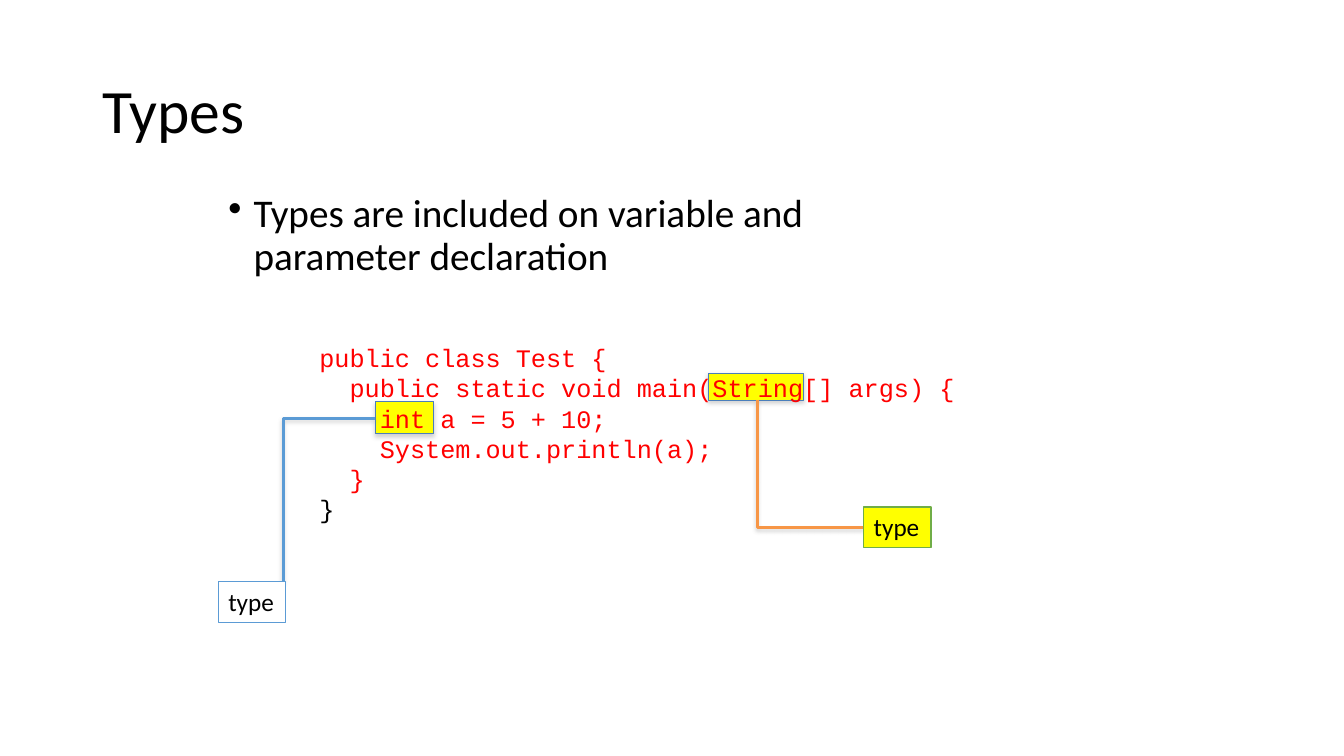
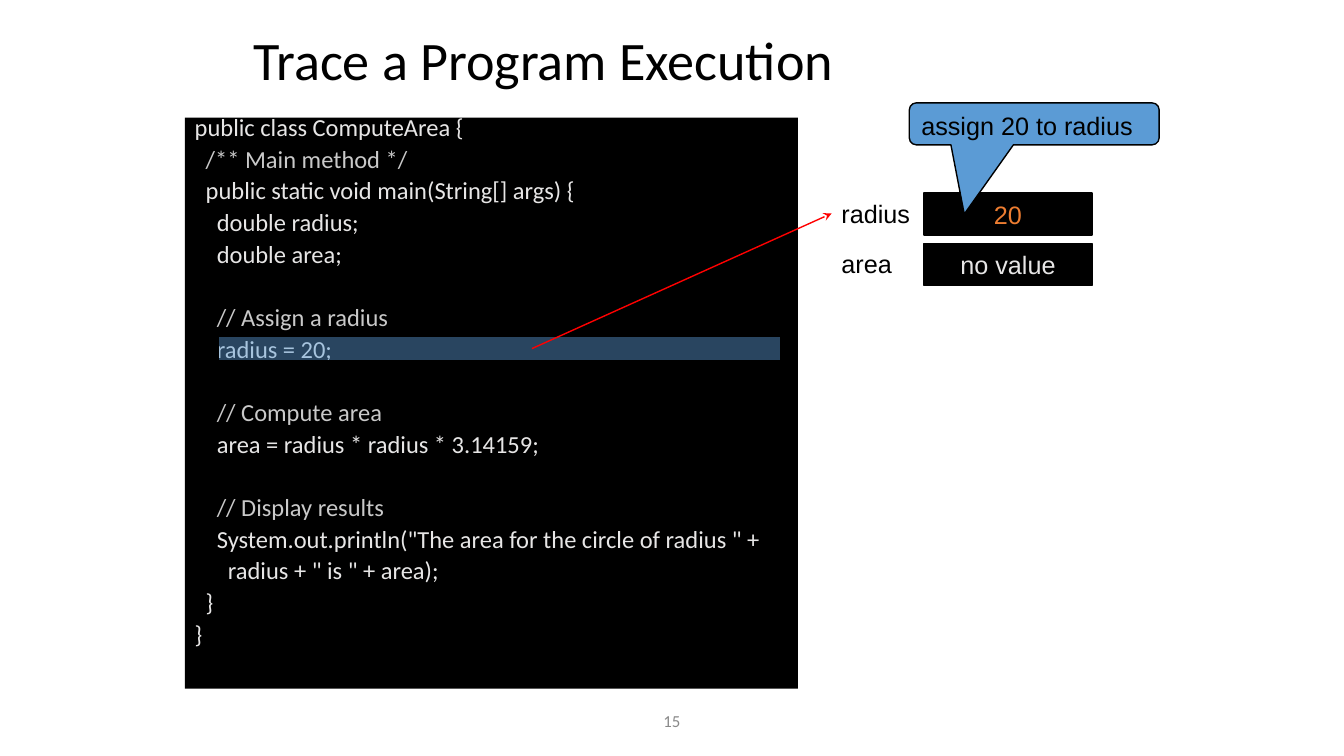
"""Builds two lecture slides on types and program tracing."""
from lxml.etree import SubElement
from pptx import Presentation
from pptx.dml.color import RGBColor
from pptx.enum.shapes import MSO_CONNECTOR, MSO_SHAPE
from pptx.enum.text import MSO_ANCHOR, PP_ALIGN
from pptx.oxml.ns import qn
from pptx.util import Pt

RECT = MSO_SHAPE.RECTANGLE
BUBBLE = MSO_SHAPE.ROUNDED_RECTANGULAR_CALLOUT
LINE, ELBOW = MSO_CONNECTOR.STRAIGHT, MSO_CONNECTOR.ELBOW
LEFT, CENTER = PP_ALIGN.LEFT, PP_ALIGN.CENTER
TOP, MIDDLE = MSO_ANCHOR.TOP, MSO_ANCHOR.MIDDLE

BLACK, WHITE, YELLOW, RED = "000000", "FFFFFF", "FFFF00", "FF0000"
BLUE, NAVY, ORANGE, RUST, GREEN = "5B9BD5", "4A7EBB", "F79646", "ED7D31", "70AD47"
PALE, SILVER, GRAY = "E7E6E6", "C9C9C9", "898989"

TEST = """public class Test {
  public static void main(String[] args) {
    int a = 5 + 10;
    System.out.println(a);
  }
}"""

AREA = """public class ComputeArea {
  /** Main method */
  public static void main(String[] args) {
    double radius;
    double area;
    // Assign a radius
    radius = 20;
    // Compute area
    area = radius * radius * 3.14159;
    // Display results
    System.out.println("The area for the circle of radius " +
      radius + " is " + area);
  }
}"""


def rgb(code):
    """Turn a hex string into a colour."""
    return RGBColor.from_string(code)


def points(*sizes):
    """Turn numbers into lengths in points."""
    return [Pt(size) for size in sizes]


def style(par, text, size=18, font="Calibri", color=BLACK, align=LEFT,
          space=None, gap=0, bullet=None):
    """Fill one paragraph with formatted text."""
    if bullet:
        props = par._p.get_or_add_pPr()
        props.set("marL", str(Pt(18)))
        props.set("indent", str(-Pt(18)))
        SubElement(props, qn("a:buChar"), char=bullet)
    par.alignment = align
    par.space_before = Pt(gap)
    if space:
        par.line_spacing = space
    run = par.add_run()
    run.text = text
    run.font.size, run.font.name = Pt(size), font
    run.font.color.rgb = rgb(color)


def write(frame, text, anchor=TOP, wrap=True, rules=None, **form):
    """Write lines of text, with overrides for lines by their prefix."""
    frame.word_wrap = wrap
    frame.vertical_anchor = anchor
    for row, line in enumerate(text.split("\n")):
        par = frame.paragraphs[0] if row == 0 else frame.add_paragraph()
        extra = {} if row else {"gap": 0}
        for start, change in (rules or {}).items():
            if line.startswith(start):
                extra = {**change, **extra}
        style(par, line, **{**form, **extra})


def shade(effects):
    """Add a soft shadow below to an effect list."""
    outer = SubElement(effects, qn("a:outerShdw"), blurRad=str(Pt(3.1)),
                       dist=str(Pt(1.8)), dir="5400000", rotWithShape="0")
    tone = SubElement(outer, qn("a:srgbClr"), val="808080")
    SubElement(tone, qn("a:alpha"), val="35000")


class Deck:
    """Holds the presentation style and the current slide."""

    def __init__(self):
        """Start a wide presentation."""
        self.show = Presentation()
        self.show.slide_width, self.show.slide_height = points(960, 540)

    def page(self):
        """Add a blank slide."""
        self.slide = self.show.slides.add_slide(self.show.slide_layouts[6])

    def text(self, box, words, **form):
        """Add a text box."""
        shape = self.slide.shapes.add_textbox(*points(*box))
        write(shape.text_frame, words, **form)
        return shape

    def title(self, box, words, size):
        """Add a slide title."""
        self.text(box, words, size=size, space=0.9, anchor=MIDDLE)

    def block(self, box, fill, edge=None, width=1, kind=RECT, words="",
              shadow=False, alpha=None, **form):
        """Add a filled shape."""
        shape = self.slide.shapes.add_shape(kind, *points(*box))
        shape.shadow.inherit = False
        props = shape._element.spPr
        if shadow:
            shade(props.find(qn("a:effectLst")))
        shape.fill.solid()
        shape.fill.fore_color.rgb = rgb(fill)
        if alpha:
            tone = props.find(qn("a:solidFill")).find(qn("a:srgbClr"))
            SubElement(tone, qn("a:alpha"), val=str(alpha * 1000))
        if edge:
            shape.line.color.rgb = rgb(edge)
            shape.line.width = Pt(width)
        else:
            shape.line.fill.background()
        if words:
            write(shape.text_frame, words, **form)
        return shape

    def link(self, kind, ends, color, width):
        """Add a connector and return it with its effect list."""
        line = self.slide.shapes.add_connector(kind, *points(*ends))
        line.line.color.rgb = rgb(color)
        line.line.width = Pt(width)
        return line, SubElement(line._element.spPr, qn("a:effectLst"))

    def bend(self, ends, color):
        """Add a connector that runs across and then turns once."""
        line, effects = self.link(ELBOW, ends, color, 2)
        line._element.spPr.find(qn("a:prstGeom")).set("prst", "bentConnector2")
        shade(effects)

    def arrow(self, ends, color, goal, side):
        """Add a straight arrow joined to a side of its goal."""
        line, _ = self.link(LINE, ends, color, 1)
        line.end_connect(goal, side)
        SubElement(line.line._get_or_add_ln(), qn("a:tailEnd"), type="stealth")


def types(deck):
    """Build the slide on types."""
    deck.page()
    for box in ((268, 287, 42, 23), (506, 266.5, 68, 19.5)):
        deck.block(box, YELLOW, NAVY, 0.75, shadow=True)
    deck.text((156, 135, 500, 305),
              "Types are included on variable and parameter declaration",
              size=28, space=0.9, bullet="•")
    deck.text((221, 241, 472, 138), TEST, font="Courier New", color=RED,
              rules={"}": {"color": BLACK}})
    deck.title((66, 29, 828, 104), "Types", 44)
    tags = (((268, 299, 202.5, 415.5), BLUE, (156, 415.5), WHITE, BLUE),
            ((617, 377, 541, 286), ORANGE, (617, 362), YELLOW, GREEN))
    for ends, color, spot, fill, edge in tags:
        deck.bend(ends, color)
        deck.block((*spot, 48, 29), fill, edge, words="type", wrap=False)


def trace(deck):
    """Build the slide on tracing a program."""
    deck.page()
    deck.text((366, 500.5, 228, 29), "15", size=12, color=GRAY,
              align=CENTER, anchor=MIDDLE)
    deck.title((174, 24, 612, 42), "Trace a Program Execution", 38.7)
    deck.block((132, 84, 438, 408), BLACK, words=AREA, size=17.5, color=PALE,
               space=0.6, gap=10,
               rules={"  /**": {"color": SILVER},
                      "    //": {"color": SILVER, "gap": 32.7}})
    deck.block((156, 240, 402, 18), BLUE, BLACK, alpha=45)
    names = []
    cells = (("radius", "20", RUST), ("area", "no value", PALE))
    for row, (name, value, color) in enumerate(cells):
        top = 138 + 36 * row
        deck.block((660, top, 120, 30), BLACK, BLACK, words=value, font="Arial",
                   color=color, align=CENTER, anchor=MIDDLE, wrap=False)
        names.append(deck.text((594, top, 66, 29), name, font="Arial"))
    note = deck.block((649.5, 73.5, 178.5, 30), BLUE, BLACK, kind=BUBBLE,
                      words="assign 20 to radius", font="Arial")
    for spot, value in enumerate((-0.28, 2.15, 0.17)):
        note.adjustments[spot] = value
    deck.arrow((380, 249, 594, 152.5), RED, names[0], 1)


def main():
    """Build and save the slides."""
    deck = Deck()
    types(deck)
    trace(deck)
    deck.show.save("out.pptx")


if __name__ == "__main__":
    main()
